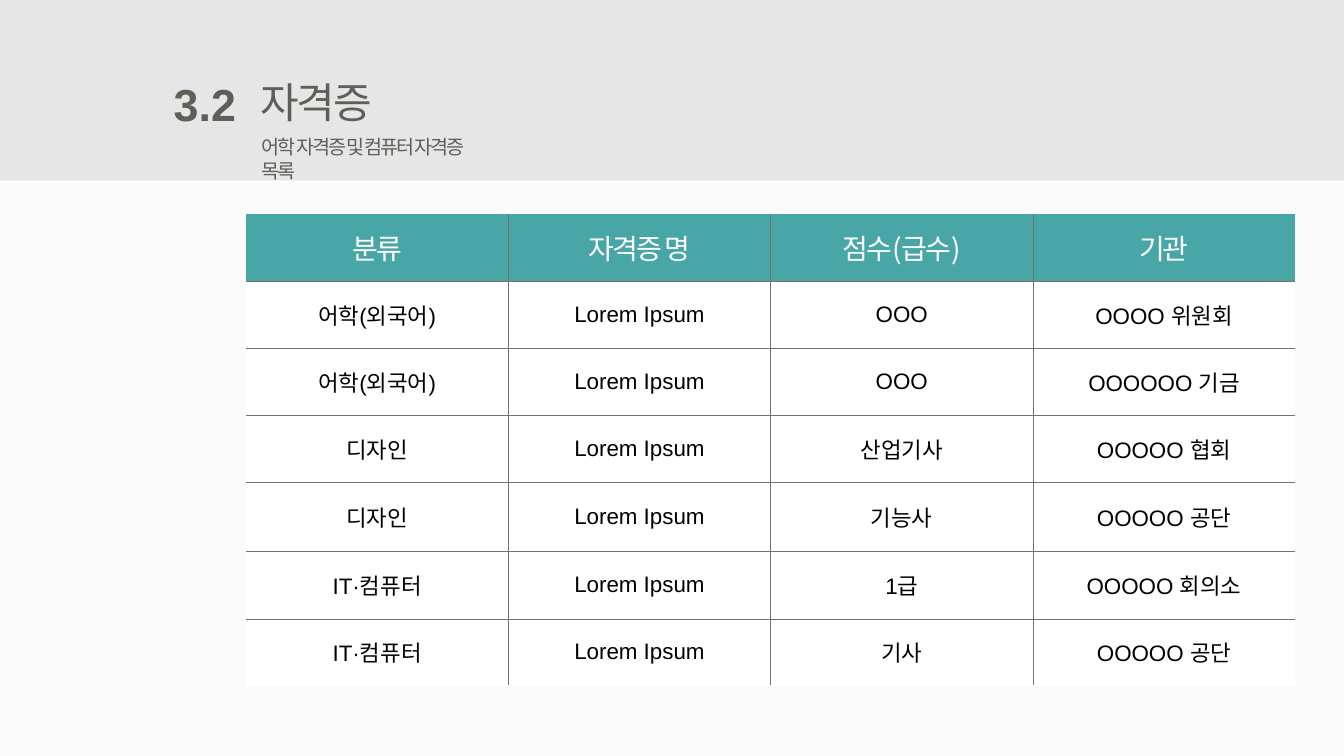
from lxml.etree import SubElement
from pptx import Presentation
from pptx.dml.color import RGBColor
from pptx.enum.shapes import MSO_SHAPE as Shape
from pptx.enum.text import MSO_ANCHOR as Anchor, PP_ALIGN as Align
from pptx.oxml.ns import qn
from pptx.util import Cm, Pt

KOREAN, LATIN = "Noto Sans CJK KR", "Arial"
INK, TEAL, RULE, WHITE = "5F5E58", "49A6A6", "767171", "FFFFFF"

HEADINGS = ["분류", "자격증 명", "점수(급수)", "기관"]
CERTIFICATES = [
    ["어학(외국어)", "Lorem Ipsum", "OOO", "OOOO 위원회"],
    ["어학(외국어)", "Lorem Ipsum", "OOO", "OOOOOO 기금"],
    ["디자인", "Lorem Ipsum", "산업기사", "OOOOO 협회"],
    ["디자인", "Lorem Ipsum", "기능사", "OOOOO 공단"],
    ["IT·컴퓨터", "Lorem Ipsum", "1급", "OOOOO 회의소"],
    ["IT·컴퓨터", "Lorem Ipsum", "기사", "OOOOO 공단"],
]
ROW_HEIGHTS = [1.69, 1.69, 1.69, 1.69, 1.75, 1.69, 1.69]


def paint(color_format, hex_color):
    color_format.rgb = RGBColor.from_string(hex_color)


def fill(target, hex_color):
    target.fill.solid()
    paint(target.fill.fore_color, hex_color)


def write(frame, text, size, color, font=LATIN, align=Align.LEFT, bold=False, spacing=0):
    frame.text = text
    paragraph = frame.paragraphs[0]
    paragraph.alignment = align
    paragraph.font.size = Pt(size)
    paragraph.font.name = font
    paragraph.font.bold = bold
    paint(paragraph.font.color, color)
    # Letter spacing and the East Asian typeface
    defaults = paragraph._p.get_or_add_pPr().get_or_add_defRPr()
    defaults.set("spc", str(round(spacing * 100)))
    SubElement(defaults, qn("a:ea"), typeface=KOREAN)


def place(shape, left, top, width, height):
    shape.left, shape.top = Cm(left), Cm(top)
    shape.width, shape.height = Cm(width), Cm(height)


def set_border(cell, side, hex_color=None, points=0.25):
    line = SubElement(cell._tc.get_or_add_tcPr(), qn(f"a:ln{side}"), w=str(Pt(points)))
    if hex_color is None:
        SubElement(line, qn("a:noFill"))
    else:
        SubElement(SubElement(line, qn("a:solidFill")), qn("a:srgbClr"), val=hex_color)


def add_header(slide, left, top, width, height):
    # Grey band, behind the title
    band = slide.shapes.add_shape(Shape.RECTANGLE, Cm(left), Cm(top), Cm(width), Cm(height))
    band.shadow.inherit = False
    fill(band, "E7E6E6")
    band.line.fill.background()
    title = slide.shapes.title
    band._element.addnext(title._element)

    # Section title
    place(title, left + 6.3, top + 1.8, 3.38, 1.55)
    title.text_frame.vertical_anchor = Anchor.TOP
    title.text_frame.word_wrap = False
    write(title.text_frame, "자격증", 30, INK, KOREAN, spacing=-1.5)

    # Section number
    number = slide.shapes.add_textbox(Cm(left + 4.04), Cm(top + 1.8), Cm(2.16), Cm(1.63))
    number.text_frame.word_wrap = False
    write(number.text_frame, "3.2", 32, INK, align=Align.RIGHT, bold=True)

    # Subtitle
    subtitle = slide.shapes.add_textbox(Cm(left + 6.35), Cm(top + 3.28), Cm(6.4), Cm(0.86))
    subtitle.text_frame.word_wrap = True
    write(subtitle.text_frame, "어학 자격증 및 컴퓨터 자격증 목록", 14, INK, spacing=-1.5)


def add_certificates(slide, left, top, width):
    rows = [HEADINGS] + CERTIFICATES
    last_row, last_column = len(rows) - 1, len(HEADINGS) - 1
    table = slide.shapes.add_table(len(rows), len(HEADINGS), Cm(left), Cm(top),
                                   Cm(width), Cm(sum(ROW_HEIGHTS))).table
    table.first_row = table.horz_banding = False
    for column in table.columns:
        column.width = Cm(width / len(HEADINGS))

    for r, (values, height) in enumerate(zip(rows, ROW_HEIGHTS)):
        table.rows[r].height = Cm(height)
        for c, value in enumerate(values):
            cell = table.cell(r, c)
            # Inner rules only, with a white edge at the foot
            set_border(cell, "L", RULE if c > 0 else None)
            set_border(cell, "R", RULE if c < last_column else None)
            set_border(cell, "T", RULE if r > 0 else None)
            if r < last_row:
                set_border(cell, "B", RULE)
            else:
                set_border(cell, "B", WHITE, 0.75)
            cell.vertical_anchor = Anchor.MIDDLE
            if r == 0:
                fill(cell, TEAL)
                write(cell.text_frame, value, 20, WHITE, KOREAN, Align.CENTER, spacing=-1.5)
            else:
                fill(cell, WHITE)
                write(cell.text_frame, value, 16, "000000", align=Align.CENTER)


def main():
    deck = Presentation()
    deck.slide_width, deck.slide_height = Cm(33.87), Cm(19.05)
    slide = deck.slides.add_slide(deck.slide_layouts[5])
    fill(slide.background, "FBFBFB")
    add_header(slide, 0, 0, 33.87, 4.55)
    add_certificates(slide, 6.2, 5.39, 26.44)
    deck.save("out.pptx")


if __name__ == "__main__":
    main()
